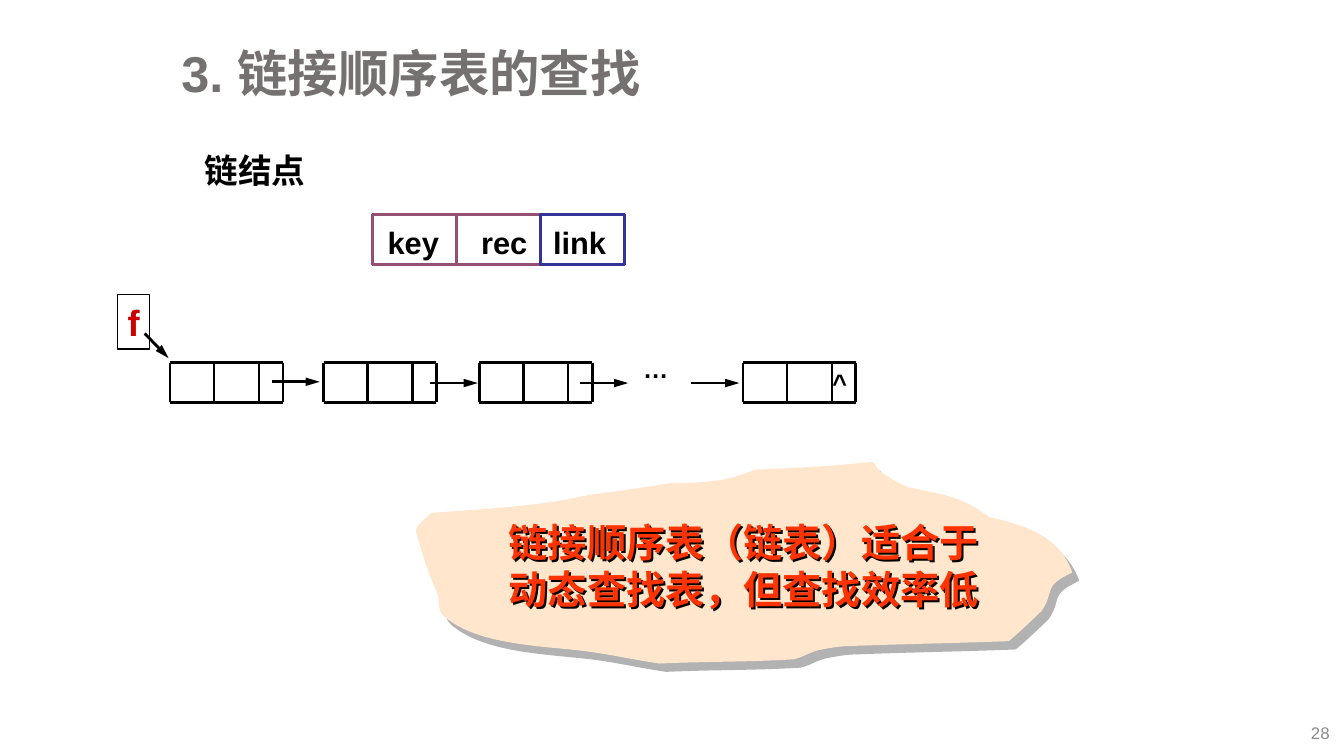
import dataclasses
import typing

import lxml.etree
import pptx
import pptx.dml.color
import pptx.enum.shapes
import pptx.enum.text
import pptx.oxml.ns
import pptx.util

Pt = pptx.util.Pt
qn = pptx.oxml.ns.qn
RGB = pptx.dml.color.RGBColor.from_string
Align = pptx.enum.text.PP_ALIGN
AutoSize = pptx.enum.text.MSO_AUTO_SIZE
Anchor = pptx.enum.text.MSO_ANCHOR
Point = tuple[float, float]


@dataclasses.dataclass(frozen=True)
class Theme:
    ink: str = "000000"
    heading: str = "767171"
    muted: str = "8C8C8C"
    pointer: str = "CC0000"
    data_cell: str = "954F72"
    link_cell: str = "333399"
    cloud: str = "FFE6CD"
    cloud_shadow: str = "B2B2B2"
    conclusion: str = "FF3300"
    latin: str = "Arial"
    chinese: str = "Noto Sans CJK JP"
    title_size: float = 36
    conclusion_size: float = 28
    pointer_size: float = 26
    subtitle_size: float = 24
    field_size: float = 22
    node_size: float = 18
    number_size: float = 12


THEME = Theme()


@dataclasses.dataclass(frozen=True)
class Label:
    text: str
    left: float
    top: float
    width: float
    height: float
    size: float
    color: str = THEME.ink
    font: str = THEME.latin
    bold: bool = True
    wrap: bool = True
    align: typing.Any = Align.LEFT
    anchor: typing.Any = Anchor.TOP
    auto_size: typing.Any = AutoSize.SHAPE_TO_FIT_TEXT
    tabs: tuple[float, ...] = ()
    border: bool = False
    shadow: bool = False


@dataclasses.dataclass(frozen=True)
class Line:
    start: Point
    end: Point
    width: float = 2
    arrow: bool = False


TITLE = Label("3. 链接顺序表的查找", 122.4, 24, 810, 61.2, THEME.title_size, THEME.heading,
              anchor=Anchor.MIDDLE, auto_size=AutoSize.NONE)
LABELS = (
    Label("28", 740.9, 512.6, 216, 22.3, THEME.number_size, THEME.muted, bold=False,
          align=Align.RIGHT, anchor=Anchor.MIDDLE, auto_size=AutoSize.NONE),
    Label("^", 587.5, 258.5, 25.2, 28.8, THEME.node_size, wrap=False),
    Label("f", 84, 210.5, 23, 38.9, THEME.pointer_size, THEME.pointer, wrap=False, border=True),
    Label("…", 452.2, 249.1, 32.4, 28.8, THEME.node_size, wrap=False),
    Label("key\trec\tlink", 269.8, 156.2, 179.3, 33.8, THEME.field_size, tabs=(66.8, 118.2)),
    Label("链结点", 139, 103.7, 171.4, 36.7, THEME.subtitle_size),
)
CONCLUSION = Label("链接顺序表（链表）适合于动态查找表，但查找效率低", 356.4, 366.5, 371.5, 74.9,
                   THEME.conclusion_size, THEME.conclusion, THEME.chinese, shadow=True)

NODE_LEFTS = (121.5, 231.1, 342.4, 530.7)
NODE_TOP, NODE_BOTTOM, NODE_WIDTH = 259, 287.5, 80.6
DIVIDERS = (31.5, 63.5)
ARROW_LENGTH = 34.3
ARROW_STARTS = ((307, 273.6), (194.1, 272.7), (414.4, 273.6), (493.8, 273.6))
POINTER_ARROW = Line((103.4, 238.2), (120.4, 255.8), arrow=True)
FIELD_LEFT, FIELD_TOP, FIELD_WIDTH, FIELD_HEIGHT = 266.1, 153.1, 60, 36
FIELD_COLORS = (THEME.data_cell, THEME.data_cell, THEME.link_cell)

CLOUD_START = (480, 345)
CLOUD_CURVES = (
    ((460, 348), (442, 351), (421, 353.5)),
    ((384.5, 362), (346, 363.5), (308, 366.5)),
    ((293, 381), (296, 373.5), (303, 399.5)),
    ((305.5, 408), (309, 416), (312.5, 424)),
    ((314.5, 430), (312, 435.5), (317, 440)),
    ((339, 459.5), (380, 461), (412, 464.5)),
    ((432, 466.5), (450.5, 471), (471, 474)),
    ((502.5, 472.5), (535, 473), (566.5, 471)),
    ((573, 470), (578, 466), (584.5, 464.5)),
    ((592, 463), (600, 461.5), (607.5, 461.5)),
    ((645, 460), (683.5, 459.5), (720.5, 458)),
    ((723.5, 456), (740, 440.5), (744, 436.5)),
    ((754, 422.5), (744, 419), (766, 409)),
    ((758, 386.5), (739.5, 376.5), (707, 369.5)),
    ((685.5, 354), (676, 354), (648.5, 348)),
    ((592, 322), (674.5, 330.5), (539, 335.5)),
    ((520.5, 344), (502.5, 345), CLOUD_START),
)


def apply_format(target: typing.Any, values: dict[str, typing.Any]) -> None:
    for name, value in values.items():
        setattr(target, name, value)


def add_shadow(shape: typing.Any, color: str, distance: float, angle: int) -> None:
    shape.shadow.inherit = False
    effects = shape._element.spPr.find(qn("a:effectLst"))
    shadow = lxml.etree.SubElement(effects, qn("a:outerShdw"), dist=str(int(Pt(distance))),
                                   dir=str(angle * 60000), algn="ctr", rotWithShape="0")
    lxml.etree.SubElement(shadow, qn("a:srgbClr"), val=color)


def write_label(shape: typing.Any, label: Label) -> None:
    apply_format(shape, {name: Pt(getattr(label, name)) for name in ("left", "top", "width", "height")})
    frame = shape.text_frame
    apply_format(frame, {"text": label.text, "word_wrap": label.wrap,
                         "auto_size": label.auto_size, "vertical_anchor": label.anchor})
    paragraph = frame.paragraphs[0]
    paragraph.alignment = label.align
    if label.tabs:
        stops = lxml.etree.SubElement(paragraph._p.get_or_add_pPr(), qn("a:tabLst"))
        for position in label.tabs:
            lxml.etree.SubElement(stops, qn("a:tab"), pos=str(int(Pt(position))), algn="l")
    for run in paragraph.runs:
        apply_format(run.font, {"size": Pt(label.size), "bold": label.bold, "name": label.font})
        run.font.color.rgb = RGB(label.color)
        latin = run._r.rPr.find(qn("a:latin"))
        if not label.text.isascii():
            latin.addnext(latin.makeelement(qn("a:ea"), {"typeface": THEME.chinese}))
    if label.border:
        shape.line.color.rgb = RGB(THEME.ink)
        shape.line.width = Pt(1)
    if label.shadow:
        add_shadow(shape, THEME.ink, 2, 45)


def add_label(slide: typing.Any, label: Label) -> None:
    write_label(slide.shapes.add_textbox(0, 0, 0, 0), label)


def add_line(slide: typing.Any, line: Line) -> None:
    ends = [Pt(value) for value in (*line.start, *line.end)]
    connector = slide.shapes.add_connector(pptx.enum.shapes.MSO_CONNECTOR.STRAIGHT, *ends)
    connector.line.color.rgb = RGB(THEME.ink)
    connector.line.width = Pt(line.width)
    if line.arrow:
        lxml.etree.SubElement(connector.line._ln, qn("a:tailEnd"), type="triangle", w="med", len="lg")
    lxml.etree.SubElement(connector._element.spPr, qn("a:effectLst"))


def add_node(slide: typing.Any, left: float) -> None:
    right = left + NODE_WIDTH
    for y in (NODE_TOP, NODE_BOTTOM):
        add_line(slide, Line((left, y), (right, y), 1.75))
    for x, width in ((left, 2), (right, 2), *((left + offset, 1.75) for offset in DIVIDERS)):
        add_line(slide, Line((x, NODE_TOP), (x, NODE_BOTTOM), width))


def add_field(slide: typing.Any, index: int, color: str) -> None:
    shape = slide.shapes.add_shape(pptx.enum.shapes.MSO_SHAPE.RECTANGLE,
                                   Pt(FIELD_LEFT + FIELD_WIDTH * index), Pt(FIELD_TOP),
                                   Pt(FIELD_WIDTH), Pt(FIELD_HEIGHT))
    shape.shadow.inherit = False
    shape.fill.background()
    shape.line.color.rgb = RGB(color)
    shape.line.width = Pt(2)


def bend_segments(shape: typing.Any) -> None:
    segments = list(shape._element.iter(qn("a:lnTo")))
    for first in range(0, len(segments), 3):
        curve = segments[first].makeelement(qn("a:cubicBezTo"), {})
        segments[first].addprevious(curve)
        for segment in segments[first:first + 3]:
            curve.append(segment[0])
            segment.getparent().remove(segment)


def add_cloud(slide: typing.Any) -> None:
    builder = slide.shapes.build_freeform(*map(Pt, CLOUD_START))
    builder.add_line_segments([(Pt(x), Pt(y)) for curve in CLOUD_CURVES for x, y in curve])
    cloud = builder.convert_to_shape()
    bend_segments(cloud)
    cloud.fill.solid()
    cloud.fill.fore_color.rgb = RGB(THEME.cloud)
    cloud.line.fill.background()
    add_shadow(cloud, THEME.cloud_shadow, 7.8, 50)


def main() -> None:
    presentation = pptx.Presentation()
    apply_format(presentation, {"slide_width": Pt(960), "slide_height": Pt(540)})
    slide = presentation.slides.add_slide(presentation.slide_layouts[5])
    write_label(slide.shapes.title, TITLE)
    slide.shapes.title.text_frame.paragraphs[0].line_spacing = 0.9
    for left in NODE_LEFTS:
        add_node(slide, left)
    for x, y in ARROW_STARTS:
        add_line(slide, Line((x, y), (x + ARROW_LENGTH, y), arrow=True))
    add_line(slide, POINTER_ARROW)
    for index, color in enumerate(FIELD_COLORS):
        add_field(slide, index, color)
    for label in LABELS:
        add_label(slide, label)
    add_cloud(slide)
    add_label(slide, CONCLUSION)
    presentation.save("out.pptx")


if __name__ == "__main__":
    main()
